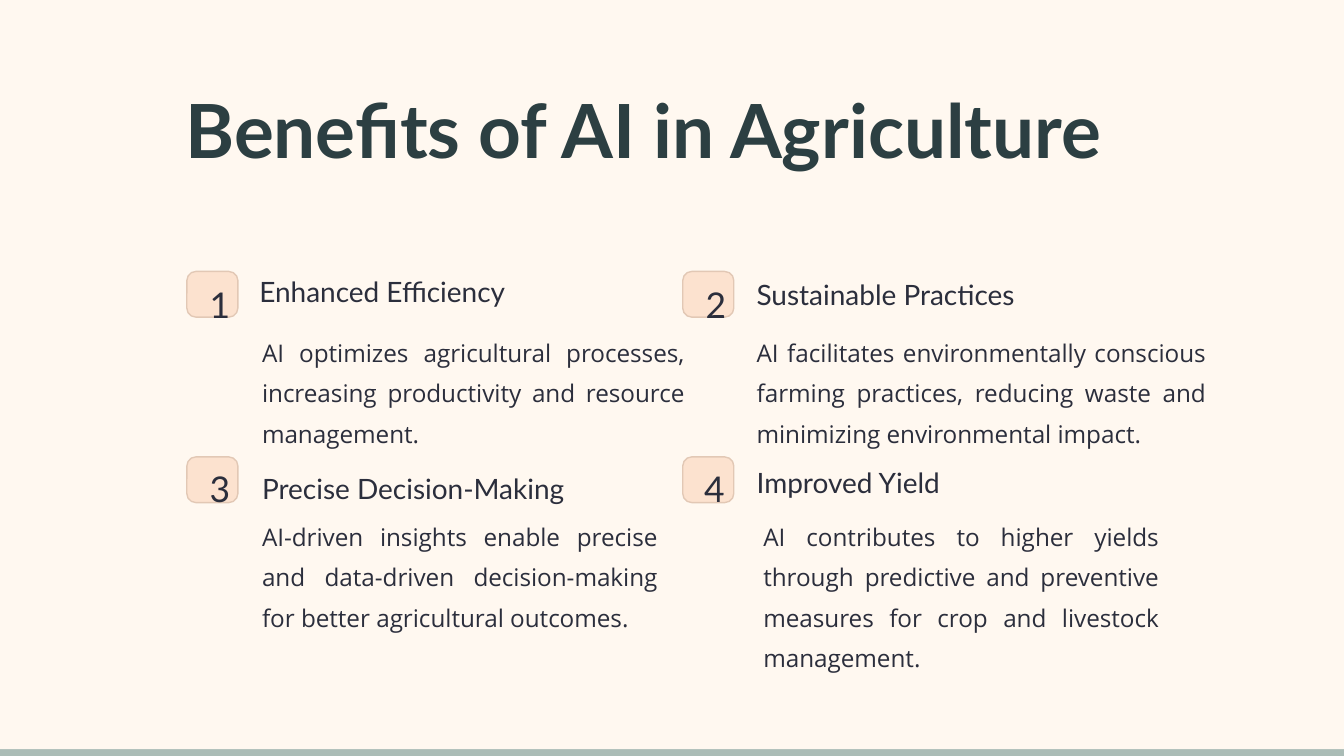
from pptx import Presentation
from pptx.dml.color import RGBColor
from pptx.enum.shapes import MSO_SHAPE as Shape
from pptx.enum.text import MSO_ANCHOR as Anchor, PP_ALIGN as Align
from pptx.util import Inches, Pt

SAGE = RGBColor(0xAA, 0xBC, 0xB6)
CREAM = RGBColor(0xFF, 0xF8, 0xF0)
PEACH = RGBColor(0xFC, 0xE2, 0xCF)
PEACH_EDGE = RGBColor(0xE2, 0xC8, 0xB5)
PINE = RGBColor(0x2C, 0x3F, 0x42)
INK = RGBColor(0x2B, 0x2E, 0x3C)

PAGE_WIDTH = 10
PAGE_HEIGHT = PAGE_WIDTH * 9 / 16
COLUMNS = (1.39, 5.08)
ROWS = (2.02, 3.4)

# number (left, top, width), heading text and frame, body text and frame
BENEFITS = [
    ((1.52, 2.05, 0.1),
     "Enhanced Efficiency", (1.87, 1.98, 3.46, 0.67),
     "AI optimizes agricultural processes, increasing productivity and "
     "resource management.", (1.89, 2.4, 3.26, 0.73)),
    ((5.19, 2.05, 0.13),
     "Sustainable Practices", (5.57, 2, 4.37, 0.24),
     "AI facilitates environmentally conscious farming practices, reducing "
     "waste and minimizing environmental impact.", (5.57, 2.4, 3.46, 1.22)),
    ((1.5, 3.42, 0.14),
     "Precise Decision-Making", (1.89, 3.45, 2.91, 0.33),
     "AI-driven insights enable precise and data-driven decision-making for "
     "better agricultural outcomes.", (1.89, 3.77, 3.06, 0.73)),
    ((5.18, 3.42, 0.14),
     "Improved Yield", (5.57, 3.4, 4.18, 0.62),
     "AI contributes to higher yields through predictive and preventive "
     "measures for crop and livestock management.", (5.62, 3.77, 3.06, 0.73)),
]


def write_text(box, text, size, spacing, font="Lato", color=INK,
               align=Align.LEFT, bold=False):
    frame = box.text_frame
    frame.word_wrap = True
    frame.vertical_anchor = Anchor.TOP
    frame.margin_left = frame.margin_right = Inches(0.06)
    frame.margin_top = frame.margin_bottom = Inches(0.03)
    para = frame.paragraphs[0]
    para.alignment = align
    para.line_spacing = spacing
    para.space_before = Pt(0)
    span = para.add_run()
    span.text = text
    span.font.size = Pt(size)
    span.font.name = font
    span.font.bold = bold
    span.font.color.rgb = color


def add_text(page, frame, *args, **style):
    box = page.shapes.add_textbox(*map(Inches, frame))
    write_text(box, *args, **style)


def add_panel(page, kind, frame, fill, edge=None):
    panel = page.shapes.add_shape(kind, *map(Inches, frame))
    panel.shadow.inherit = False
    panel.fill.solid()
    panel.fill.fore_color.rgb = fill
    if edge is None:
        panel.line.fill.background()
    else:
        panel.line.color.rgb = edge
        panel.line.width = Pt(0.75)
    return panel


def add_title(page, text):
    title = page.shapes.title
    # Bring the title in front of the backdrop
    page.shapes.element.append(title.element)
    title.left, title.top, title.width, title.height = map(
        Inches, (1.32, 0.7, 8.45, 0.52))
    write_text(title, text, 40, 0.85, color=PINE, bold=True)


def add_benefit(page, index, number_spot, heading, heading_frame, body, body_frame):
    row, column = divmod(index, len(COLUMNS))
    badge = add_panel(page, Shape.ROUNDED_RECTANGLE,
                      (COLUMNS[column], ROWS[row], 0.38, 0.34), PEACH, PEACH_EDGE)
    badge.adjustments[0] = 0.2
    add_text(page, (*number_spot, 0.28), str(index + 1), 19, 1.09,
             align=Align.CENTER)
    add_text(page, heading_frame, heading, 15, 1.13)
    add_text(page, body_frame, body, 13, 1.39, font="Open Sans",
             align=Align.JUSTIFY)


def main():
    deck = Presentation()
    deck.slide_width, deck.slide_height = Inches(PAGE_WIDTH), Inches(PAGE_HEIGHT)
    page = deck.slides.add_slide(deck.slide_layouts[5])

    # Cream backdrop, raised to show a sage strip at the foot
    for top, fill in ((0, SAGE), (-0.05, CREAM)):
        add_panel(page, Shape.RECTANGLE, (0, top, 11.02, PAGE_HEIGHT), fill)

    add_title(page, "Benefits of AI in Agriculture")

    # Numbered benefits in a two-by-two grid
    for index, benefit in enumerate(BENEFITS):
        add_benefit(page, index, *benefit)

    deck.save("out.pptx")


if __name__ == "__main__":
    main()
